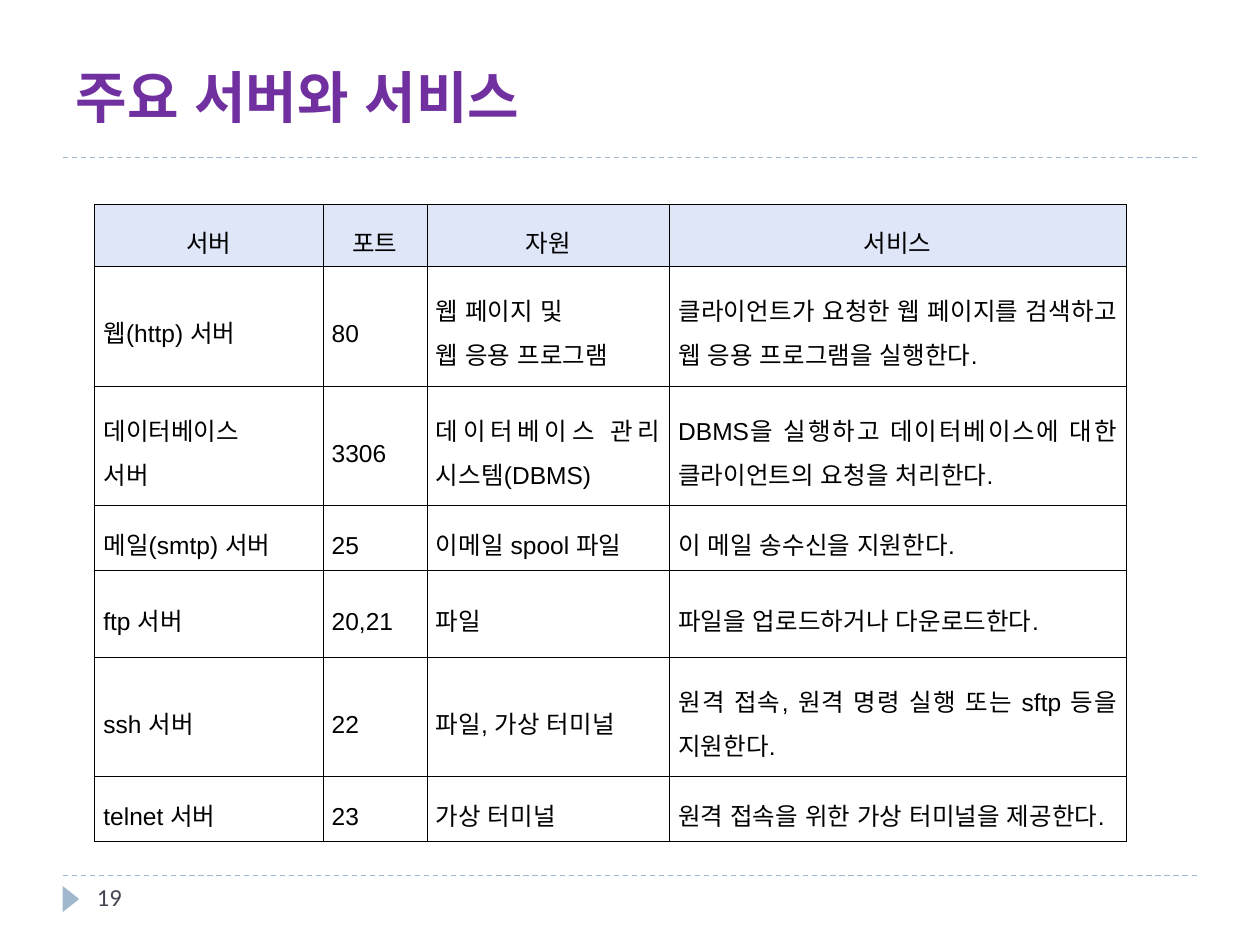
"""Build a slide with a table of the main servers and services."""
from lxml import etree
from pptx import Presentation
from pptx.dml.color import RGBColor
from pptx.enum import dml, shapes, text
from pptx.oxml import ns
from pptx.util import Pt

TITLE = "주요 서버와 서비스"
PAGE = "19"
HEAD = ("서버", "포트", "자원", "서비스")
ROWS = [
    ("웹(http) 서버 ", "80", "웹 페이지 및 \n웹 응용 프로그램 ",
     "클라이언트가 요청한 웹 페이지를 검색하고 웹 응용 프로그램을 실행한다."),
    ("데이터베이스\n서버", "3306", "데이터베이스 관리 시스템(DBMS)",
     "DBMS을 실행하고 데이터베이스에 대한 클라이언트의 요청을 처리한다."),
    ("메일(smtp) 서버", "25", "이메일 spool 파일", "이 메일 송수신을 지원한다. "),
    ("ftp 서버", "20,21", "파일 ", "파일을 업로드하거나 다운로드한다. "),
    ("ssh 서버", "22", "파일, 가상 터미널",
     "원격 접속, 원격 명령 실행 또는 sftp 등을 지원한다. "),
    ("telnet 서버 ", "23", "가상 터미널 ", "원격 접속을 위한 가상 터미널을 제공한다. "),
]
WIDTHS = (130.5, 59.5, 138.5, 261)
HEIGHTS = (35.5, 68.25, 68.25, 37.25, 49.75, 68, 37.25)
RULES = (500.5, 90)
LEFT, RIGHT = 36, 684

THEME = {
    "title": ("Arial", 32, "7030A0", True),
    "cell": ("Arial", 14, "000000", False),
    "page": ("Calibri", 14, "464653", False),
    "accent": "9FB8CD",
    "head": "DFE6F7",
    "border": "000000",
}


def color(key):
    return RGBColor.from_string(THEME[key])


def write(para, words, style):
    face, size, tint, bold = THEME[style]
    run = para.add_run()
    run.text = words
    font = run.font
    font.name, font.size, font.bold = face, Pt(size), bold
    font.color.rgb = RGBColor.from_string(tint)
    etree.SubElement(run._r.get_or_add_rPr(), ns.qn("a:ea"), typeface=face)


def place(shape, left, top, width, height):
    shape.left, shape.top = Pt(left), Pt(top)
    shape.width, shape.height = Pt(width), Pt(height)


def add_rule(slide, top):
    rule = slide.shapes.add_connector(
        shapes.MSO_CONNECTOR.STRAIGHT, Pt(LEFT), Pt(top), Pt(RIGHT), Pt(top))
    rule.line.color.rgb = color("accent")
    rule.line.width = Pt(0.75)
    rule.line.dash_style = dml.MSO_LINE.DASH
    etree.SubElement(rule._element.spPr, ns.qn("a:effectLst"))


def add_title(slide):
    title = slide.shapes.title
    place(title, LEFT, 12.25, RIGHT - LEFT, 65.5)
    frame = title.text_frame
    frame.vertical_anchor = text.MSO_ANCHOR.BOTTOM
    frame.paragraphs[0].alignment = text.PP_ALIGN.LEFT
    write(frame.paragraphs[0], TITLE, "title")


def add_page(slide):
    mark = slide.shapes.add_shape(
        shapes.MSO_SHAPE.ISOSCELES_TRIANGLE, Pt(33), Pt(509), Pt(15), Pt(9.5))
    mark.rotation = 90
    mark.shadow.inherit = False
    mark.fill.solid()
    mark.fill.fore_color.rgb = color("accent")
    mark.line.fill.background()
    box = slide.shapes.add_textbox(Pt(48.25), Pt(500.5), Pt(156), Pt(28.5))
    box.text_frame.word_wrap = True
    write(box.text_frame.paragraphs[0], PAGE, "page")


def add_border(cell):
    props = cell._tc.get_or_add_tcPr()
    for side in ("a:lnL", "a:lnR", "a:lnT", "a:lnB"):
        line = etree.SubElement(props, ns.qn(side), w=str(Pt(0.28)))
        fill = etree.SubElement(line, ns.qn("a:solidFill"))
        etree.SubElement(fill, ns.qn("a:srgbClr"), val=THEME["border"])


def fill_cell(cell, words, head):
    add_border(cell)
    if head:
        cell.fill.solid()
        cell.fill.fore_color.rgb = color("head")
    else:
        cell.fill.background()
    cell.vertical_anchor = text.MSO_ANCHOR.MIDDLE
    cell.margin_left = cell.margin_right = Pt(5.1)
    cell.margin_top = cell.margin_bottom = Pt(1.4)
    frame = cell.text_frame
    for num, part in enumerate(words.split("\n")):
        para = frame.add_paragraph() if num else frame.paragraphs[0]
        para.alignment = text.PP_ALIGN.CENTER if head else text.PP_ALIGN.JUSTIFY
        para.line_spacing = 1.6
        write(para, part, "cell")


def add_grid(slide):
    data = [HEAD] + ROWS
    table = slide.shapes.add_table(
        len(data), len(HEAD), Pt(54), Pt(116.75),
        Pt(sum(WIDTHS)), Pt(sum(HEIGHTS))).table
    table.first_row = table.horz_banding = False
    for col, width in zip(table.columns, WIDTHS):
        col.width = Pt(width)
    for num, (row, height) in enumerate(zip(table.rows, HEIGHTS)):
        row.height = Pt(height)
        for cell, words in zip(row.cells, data[num]):
            fill_cell(cell, words, num == 0)


def main():
    deck = Presentation()
    deck.slide_width, deck.slide_height = Pt(720), Pt(540)
    slide = deck.slides.add_slide(deck.slide_layouts[5])
    for top in RULES:
        add_rule(slide, top)
    add_title(slide)
    add_page(slide)
    add_grid(slide)
    deck.save("out.pptx")


if __name__ == "__main__":
    main()
